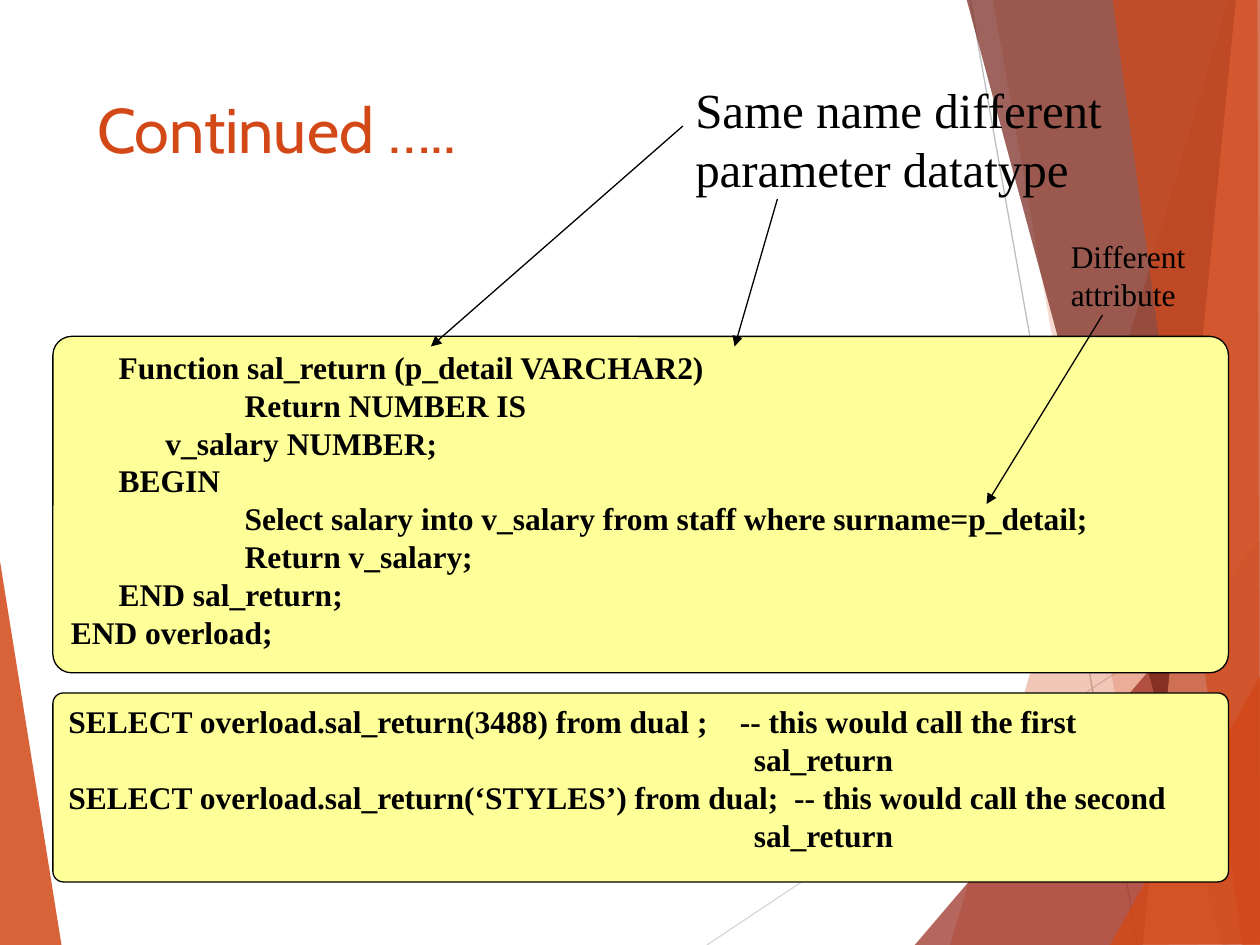
from lxml.etree import SubElement
from pptx import Presentation
from pptx.dml.color import RGBColor as Rgb
from pptx.enum.shapes import MSO_CONNECTOR as Link, MSO_SHAPE as Form
from pptx.enum.text import MSO_ANCHOR as Anchor, MSO_AUTO_SIZE as Fit, PP_ALIGN as Align
from pptx.oxml.ns import qn
from pptx.util import Inches, Pt

HUES = {
    "ink": "000000", "note": "FFFF99", "rust": "D34817", "brick": "9B2D1F",
    "wine": "742217", "peach": "EF8C6A", "pale": "D9D9D9", "grey": "BFBFBF",
}
FACETS = [
    ("rust", 30, [(9.75, 0), (7.54, 7.5), (10.02, 7.51), (10.01, 0.01)]),
    ("rust", 20, [(7.88, -0.01), (9.2, 7.5), (10.01, 7.5), (10.01, -0.01)]),
    ("brick", 72, [(7.26, 7.5), (10, 4.29), (10.01, 7.5)]),
    ("wine", 70, [(7.67, -0.01), (9.7, 7.5), (10.01, 7.49), (10.01, -0.01)]),
    ("peach", 70, [(9.81, -0.01), (9.07, 7.5), (10.01, 7.5), (10, -0.01)]),
    ("rust", 65, [(8.83, -0.01), (9.86, 7.5), (10, 7.5), (9.98, -0.01)]),
    ("rust", 80, [(8.81, 7.5), (10.01, 5.35), (10.01, 7.49)]),
]
BODY = [
    (0.38, "Function sal_return (p_detail VARCHAR2)"),
    (1.38, "Return NUMBER IS"),
    (0.75, "v_salary NUMBER;"),
    (0.38, "BEGIN"),
    (1.38, "Select salary into v_salary from staff where surname=p_detail;"),
    (1.38, "Return v_salary;"),
    (0.38, "END sal_return;"),
    (0, "END overload;"),
]
CALLS = [
    (0, "SELECT overload.sal_return(3488) from dual ;\t-- this would call the first"),
    (5.44, "sal_return"),
    (0, "SELECT overload.sal_return(‘STYLES’) from dual;\t-- this would call the second"),
    (5.44, "sal_return"),
]
STOPS = (5.33, 5.76)


class Deck:
    """Holds the style and the current slide, and draws each kind of element."""

    def __init__(self):
        self.show = Presentation()
        self.show.slide_width, self.show.slide_height = Inches(10), Inches(7.5)
        self.slide = self.show.slides.add_slide(self.show.slide_layouts[5])
        self.shapes = self.slide.shapes
        self.serif = "Times New Roman"
        self.thin = Pt(0.75)

    def hue(self, name):
        return Rgb.from_string(HUES[name])

    def run(self, para, text, size, face=None, hue="ink", bold=False):
        run = para.add_run()
        run.text = text
        font = run.font
        font.size, font.name, font.bold = Pt(size), face or self.serif, bold
        font.color.rgb = self.hue(hue)

    def title(self, text, *box):
        head = self.shapes.title
        head.left, head.top, head.width, head.height = map(Inches, box)
        head.text_frame.vertical_anchor = Anchor.TOP
        para = head.text_frame.paragraphs[0]
        para.alignment = Align.LEFT
        self.run(para, text, 36, "Cabin", "rust")
        head.element.getparent().append(head.element)

    def facet(self, hue, alpha, points):
        spots = [(Inches(x), Inches(y)) for x, y in points]
        pen = self.shapes.build_freeform(*spots[0], scale=1)
        pen.add_line_segments(spots[1:], close=True)
        shape = pen.convert_to_shape()
        shape.shadow.inherit = False
        shape.fill.solid()
        shape.fill.fore_color.rgb = self.hue(hue)
        shape.line.fill.background()
        tint = shape.element.spPr.find(qn("a:solidFill"))[0]
        SubElement(tint, qn("a:alpha"), val=str(alpha * 1000))

    def line(self, start, end, hue="ink", arrow=False):
        link = self.shapes.add_connector(Link.STRAIGHT, *map(Inches, start + end))
        link.line.width = self.thin
        link.line.color.rgb = self.hue(hue)
        if arrow:
            SubElement(link.line._get_or_add_ln(), qn("a:tailEnd"), type="triangle")
        SubElement(link.element.spPr, qn("a:effectLst"))

    def code(self, rows, *box, stops=()):
        card = self.shapes.add_shape(Form.ROUNDED_RECTANGLE, *map(Inches, box))
        card.adjustments[0] = 0.056
        card.shadow.inherit = False
        card.fill.solid()
        card.fill.fore_color.rgb = self.hue("note")
        card.line.color.rgb = self.hue("ink")
        card.line.width = self.thin
        frame = card.text_frame
        frame.word_wrap, frame.vertical_anchor = True, Anchor.TOP
        for i, (left, text) in enumerate(rows):
            para = frame.add_paragraph() if i else frame.paragraphs[0]
            para.alignment = Align.LEFT
            props = para._p.get_or_add_pPr()
            props.set("marL", str(Inches(left)))
            if "\t" in text:
                tabs = SubElement(props, qn("a:tabLst"))
                SubElement(tabs, qn("a:tab"), pos=str(Inches(stops[i // 2])), algn="l")
            self.run(para, text, 18, bold=True)

    def label(self, text, size, *box):
        frame = self.shapes.add_textbox(*map(Inches, box)).text_frame
        frame.word_wrap, frame.auto_size = True, Fit.SHAPE_TO_FIT_TEXT
        self.run(frame.paragraphs[0], text, size)

    def save(self):
        self.show.save("out.pptx")


def main():
    deck = Deck()
    deck.facet("rust", 85, [(-0.01, 4.39), (0.49, 7.51), (-0.01, 7.5)])
    deck.line((5.61, 7.5), (10.01, 4.57), "pale")
    deck.line((7.7, 0), (9.03, 7.5), "grey")
    for facet in FACETS:
        deck.facet(*facet)
    deck.title("Continued …..", 0.67, 0.67, 6.94, 1.44)
    deck.code(BODY, 0.42, 2.67, 9.33, 2.67)
    deck.label("Same name different parameter datatype", 28, 5.42, 0.58, 4.17, 1.04)
    deck.line((5.42, 1), (3.42, 2.75), arrow=True)
    deck.line((6.17, 1.58), (5.83, 2.75), arrow=True)
    deck.code(CALLS, 0.42, 5.5, 9.33, 1.5, stops=STOPS)
    deck.line((8.75, 2.5), (7.83, 4), arrow=True)
    deck.label("Different attribute", 18, 8.4, 1.83, 1.6, 0.7)
    deck.save()


if __name__ == "__main__":
    main()
